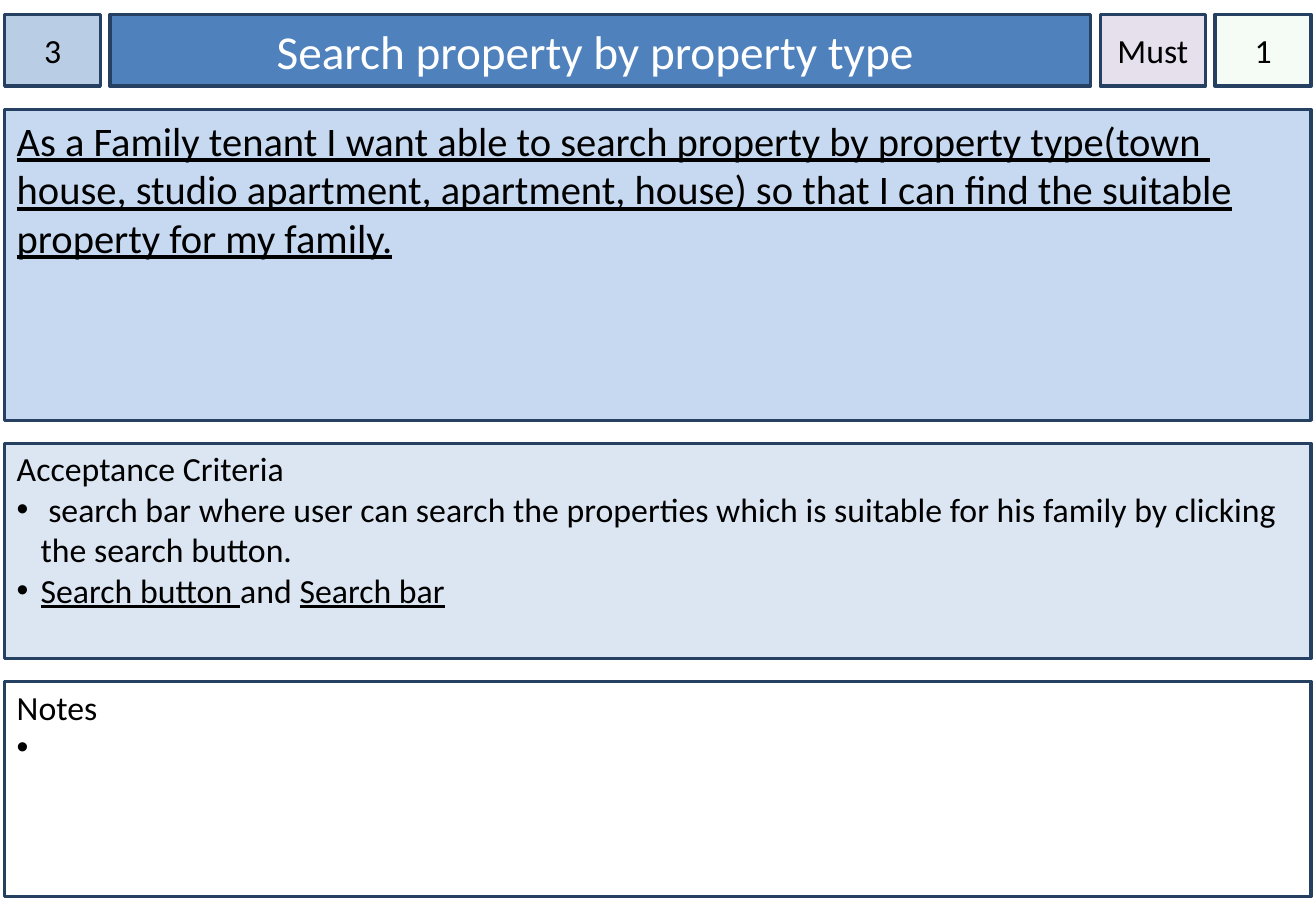
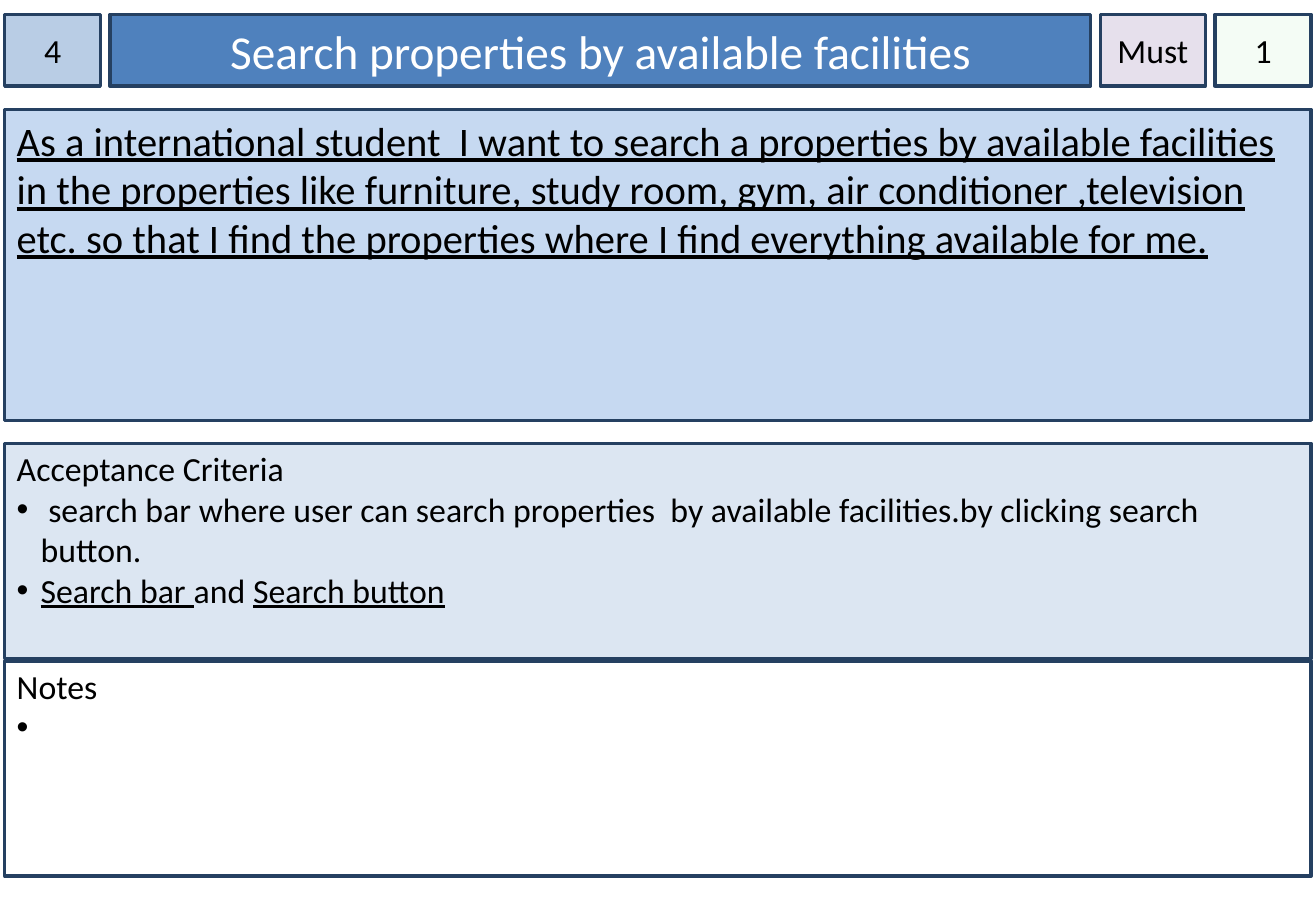
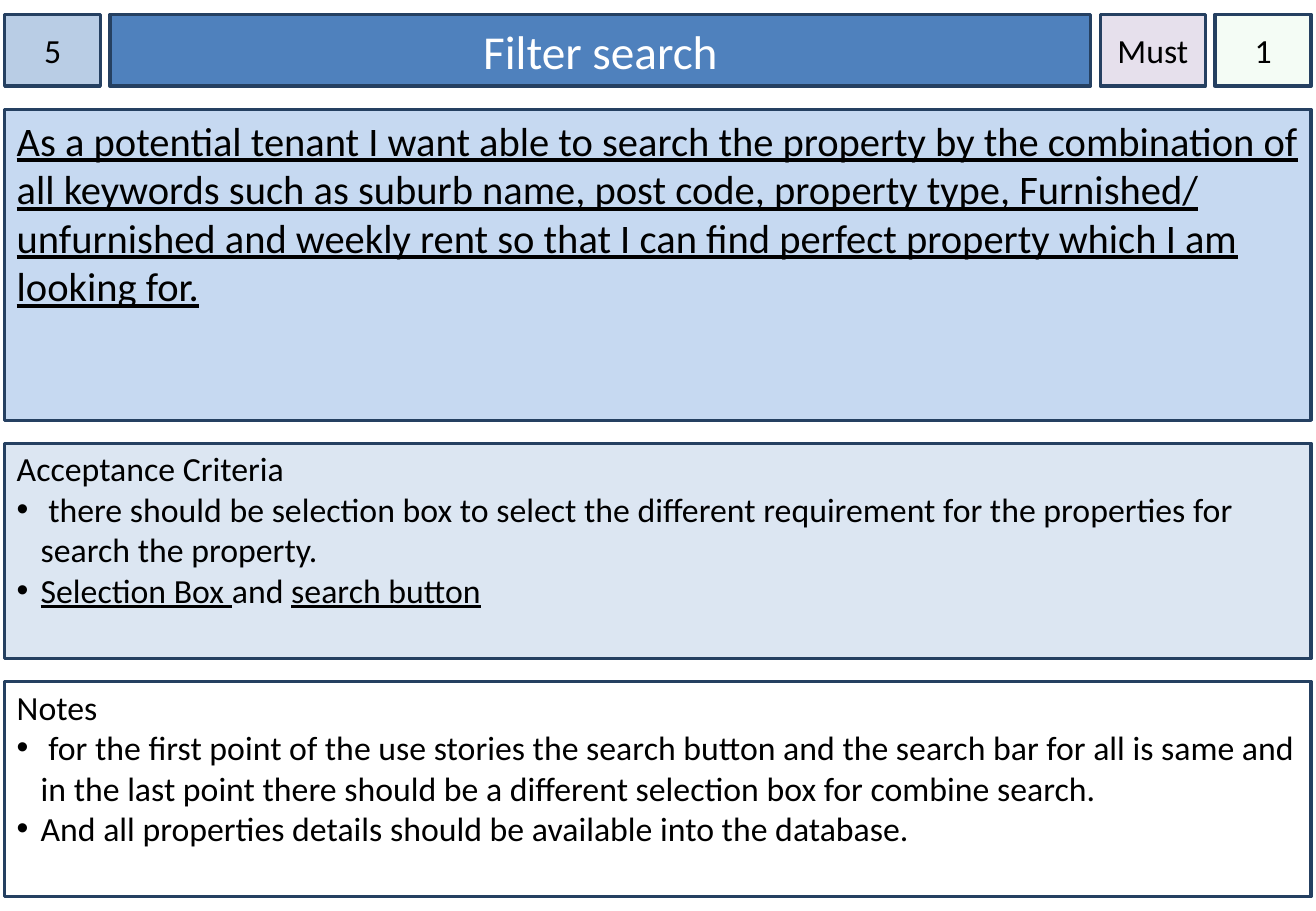
from lxml import etree
from pptx import Presentation
from pptx.dml.color import RGBColor
from pptx.enum.shapes import MSO_SHAPE
from pptx.enum.text import MSO_ANCHOR, MSO_AUTO_SIZE, PP_ALIGN
from pptx.oxml.ns import qn
from pptx.util import Cm, Pt

RECTANGLE = MSO_SHAPE.RECTANGLE
TOP, MIDDLE = MSO_ANCHOR.TOP, MSO_ANCHOR.MIDDLE
LEFT, CENTER = PP_ALIGN.LEFT, PP_ALIGN.CENTER
NO_FIT = MSO_AUTO_SIZE.NONE

NAVY = RGBColor(0x25, 0x40, 0x61)
BLUE = RGBColor(0x4F, 0x81, 0xBD)
STEEL = RGBColor(0xB9, 0xCD, 0xE5)
SKY = RGBColor(0xC6, 0xD9, 0xF1)
ICE = RGBColor(0xDC, 0xE6, 0xF2)
MINT = RGBColor(0xCC, 0xF0, 0xCD)
LILAC = RGBColor(0xE6, 0xE0, 0xEC)
WHITE = RGBColor(0xFF, 0xFF, 0xFF)
BLACK = RGBColor(0, 0, 0)

# Card grid in centimetres
MARGIN, HEADER_TOP, HEADER_HEIGHT, HEADER_GAP = 0.1, 0.3, 1.5, 0.2
HEADER_WIDTHS = {"number": 2, "title": 20.5, "priority": 2.2, "estimate": 2.01}
PANEL_TOP, PANEL_WIDTH, PANEL_GAP = 2.29, 27.31, 0.48
PANEL_HEIGHTS = {"story": 6.5, "criteria": 4.5, "notes": 4.5}

PLACES = {}
left = MARGIN
for part, width in HEADER_WIDTHS.items():
    PLACES[part] = (left, HEADER_TOP, width, HEADER_HEIGHT)
    left += width + HEADER_GAP
top = PANEL_TOP
for part, height in PANEL_HEIGHTS.items():
    PLACES[part] = (MARGIN, top, PANEL_WIDTH, height)
    top += height + PANEL_GAP

# Fill, text size, text colour, alignment, anchor, side inset, top inset
STYLES = {
    "number": (STEEL, 20, BLACK, CENTER, MIDDLE, 0, 0.13),
    "title": (BLUE, 28, WHITE, CENTER, MIDDLE, 0.25, 0.13),
    "priority": (LILAC, 20, BLACK, CENTER, MIDDLE, 0, 0.13),
    "estimate": (MINT, 20, BLACK, CENTER, MIDDLE, 0, 0.13),
    "story": (SKY, 24, BLACK, LEFT, TOP, 0.25, 0.13),
    "criteria": (ICE, 20, BLACK, LEFT, TOP, 0.25, 0.1),
    "notes": (WHITE, 20, BLACK, LEFT, TOP, 0.25, 0.1),
}
LISTS = {"criteria": "Acceptance Criteria", "notes": "Notes"}

# A list item is a text, or a list of (text, underlined) spans
STORIES = [
    {
        "number": "3",
        "title": "Search property by property type ",
        "story": "As a Family tenant I want able to search property by property "
                 "type(town  house, studio apartment, apartment, house) so that I can "
                 "find the suitable property for my family.",
        "criteria": [
            " search bar where user can search the properties which is suitable for "
            "his family by clicking the search button.",
            [("Search button ", True), ("and ", False), ("Search bar", True)],
        ],
        "notes": [" "],
    },
    {
        "number": "4",
        "title": "Search properties by available facilities",
        "story": "As a international student  I want to search a properties by "
                 "available facilities in the properties like furniture, study room, "
                 "gym, air conditioner ,television etc. so that I find the properties "
                 "where I find everything available for me.",
        "criteria": [
            " search bar where user can search properties  by available "
            "facilities.by clicking search button.",
            [("Search bar ", True), ("and ", False), ("Search button", True)],
        ],
        "notes": [" "],
        "notes top": 13.82,
    },
    {
        "number": "5",
        "title": "Filter search",
        "story": "As a potential tenant I want able to search the property by the "
                 "combination of all keywords such as suburb name, post code, property "
                 "type, Furnished/ unfurnished and weekly rent so that I can find "
                 "perfect property which I am looking for.",
        "criteria": [
            " there should be selection box to select the different requirement for "
            "the properties for search the property.",
            [("Selection Box ", True), ("and ", False), ("search button", True)],
        ],
        "notes": [
            " for the first point of the use stories the search button and the search "
            "bar for all is same and in the last point there should be a different "
            "selection box for combine search.",
            "And all properties details should be available into the database.",
        ],
    },
]


def set_bullet(para, bulleted):
    properties = para._p.get_or_add_pPr()
    properties.set("marL", str(Cm(0.5) if bulleted else 0))
    properties.set("indent", str(-Cm(0.5) if bulleted else 0))
    if bulleted:
        font = etree.SubElement(properties, qn("a:buFont"))
        font.set("typeface", "Arial")
        etree.SubElement(properties, qn("a:buChar")).set("char", "•")
    else:
        etree.SubElement(properties, qn("a:buNone"))


deck = Presentation()
deck.slide_width, deck.slide_height = Cm(27.51), Cm(19.05)
two_lists = deck.slide_layouts[3]

for story in STORIES:
    page = deck.slides.add_slide(two_lists)
    holders = dict(zip(("title", "criteria", "notes"), page.placeholders))
    texts = {"priority": "Must", "estimate": "1", **story}

    for part, style in STYLES.items():
        fill, size, colour, align, anchor, side, inset = style

        # Box
        x, y, width, height = PLACES[part]
        y = story.get(part + " top", y)
        box = holders.get(part)
        if box is None:
            box = page.shapes.add_shape(RECTANGLE, 0, 0, 0, 0)
            box.shadow.inherit = False
        box.left, box.top, box.width, box.height = Cm(x), Cm(y), Cm(width), Cm(height)
        box.fill.solid()
        box.fill.fore_color.rgb = fill
        box.line.color.rgb = NAVY
        box.line.width = Pt(2)
        if part == "estimate":
            tint = box._element.spPr.find(qn("a:solidFill"))[0]
            etree.SubElement(tint, qn("a:alpha")).set("val", "20000")

        # Text frame
        frame = box.text_frame
        frame_format = {
            "auto_size": NO_FIT, "word_wrap": part != "priority",
            "vertical_anchor": anchor,
            "margin_left": Cm(side), "margin_right": Cm(side),
            "margin_top": Cm(inset), "margin_bottom": Cm(0.13),
        }
        for name, value in frame_format.items():
            setattr(frame, name, value)

        # Paragraphs
        lines = [LISTS[part], *texts[part]] if part in LISTS else [texts[part]]
        for index, line in enumerate(lines):
            para = frame.add_paragraph() if index else frame.paragraphs[0]
            para.alignment = align
            para.space_before = Pt(0)
            set_bullet(para, index > 0)
            spans = [(line, part == "story")] if isinstance(line, str) else line
            for text, underlined in spans:
                span = para.add_run()
                span.text = text
                span.font.color.rgb = colour
                font_format = {"name": "Calibri", "size": Pt(size),
                               "underline": underlined}
                for name, value in font_format.items():
                    setattr(span.font, name, value)

deck.save("out.pptx")
